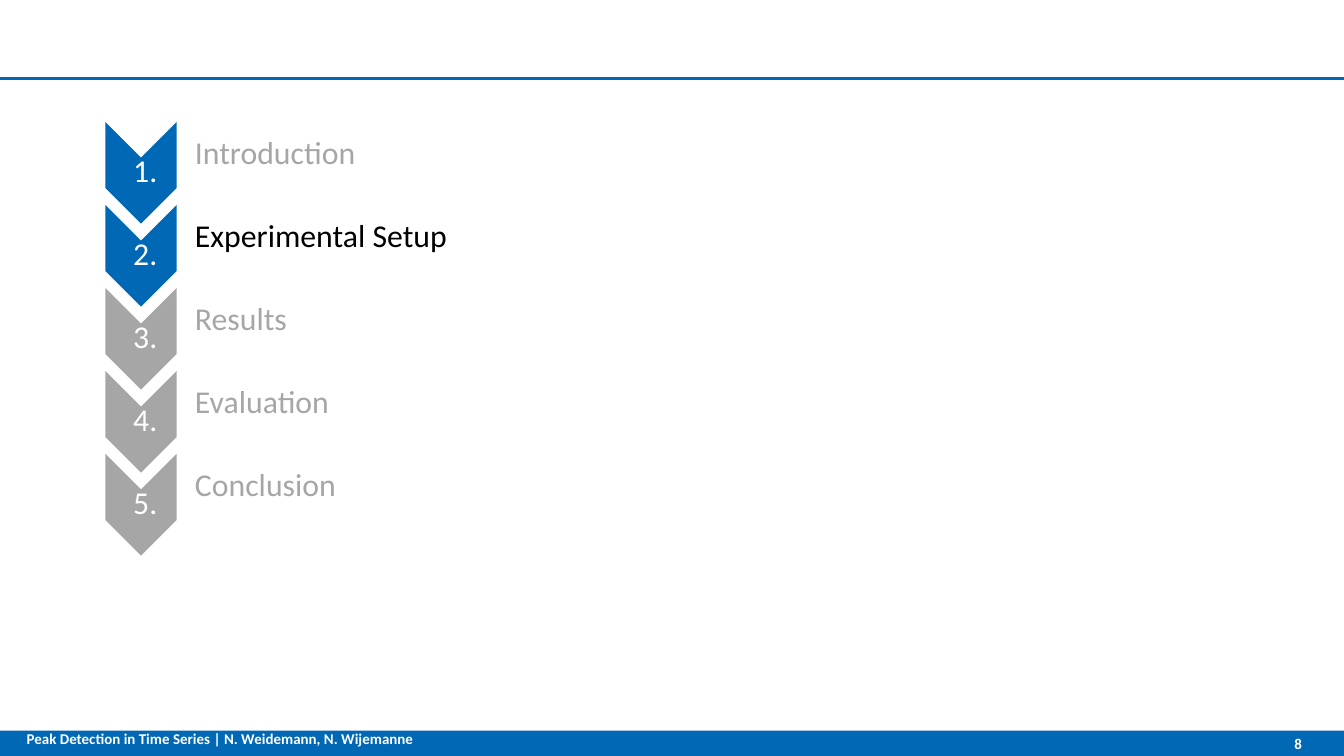
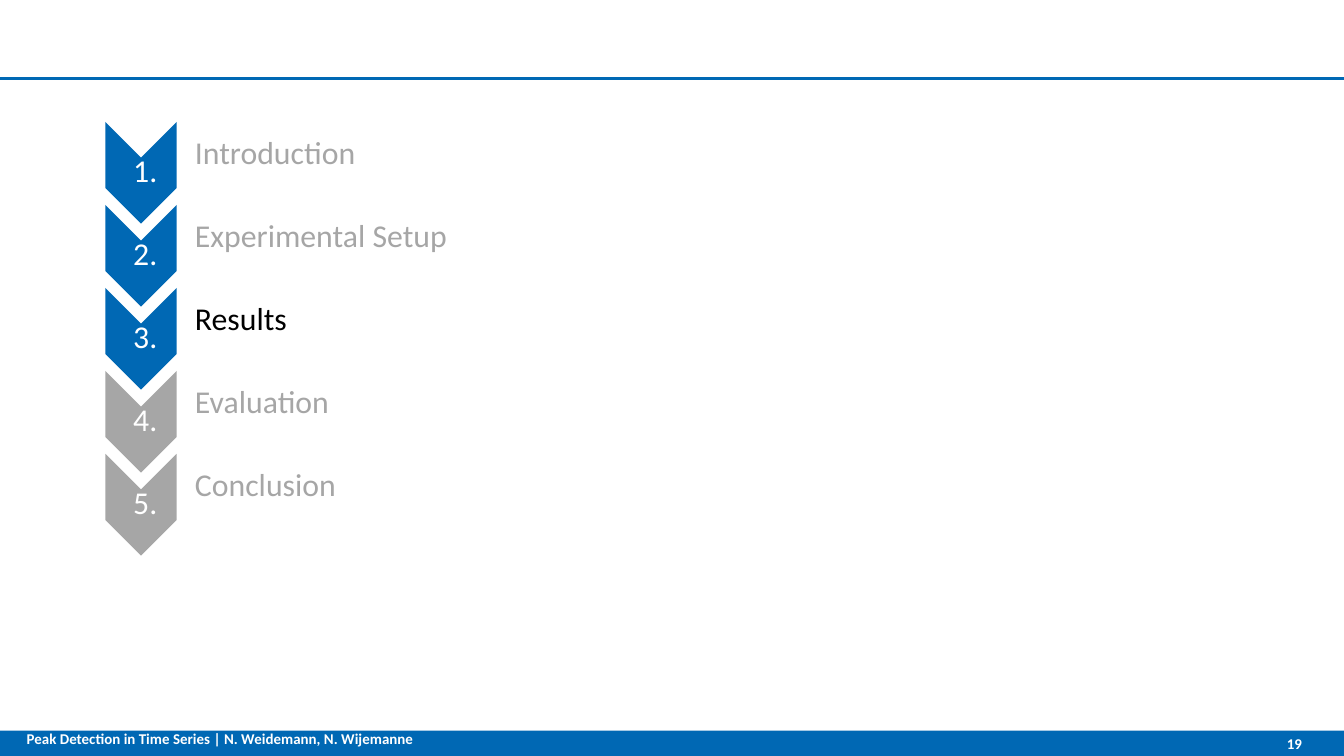
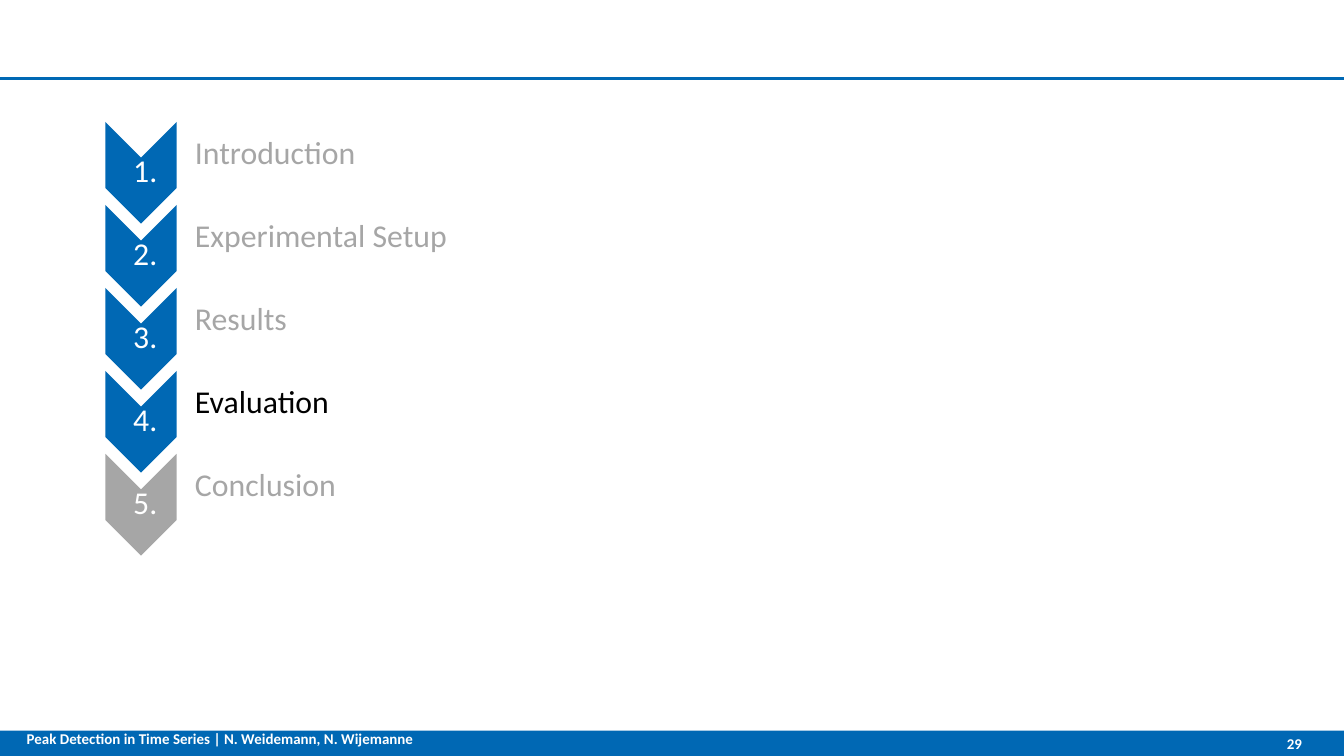
from lxml import etree
from pptx import Presentation
from pptx.dml.color import RGBColor
from pptx.enum import shapes, text
from pptx.oxml.ns import qn
from pptx.util import Pt

TOPICS = ["Introduction", "Experimental Setup", "Results", "Evaluation", "Conclusion"]
AGENDAS = [  # page number, current topic
    ("8", 2),
    ("19", 3),
    ("29", 4),
]
FOOTER = "Peak Detection in Time Series | N. Weidemann, N. Wijemanne"

BLUE, GRAY, BLACK, WHITE = "0068B4", "A6A6A6", "000000", "FFFFFF"
WIDE, HIGH = 720, 405
BAND = 13.5     # height of the footer band
RULE = 42.2     # height of the line under the title area
PITCH = 44.46   # distance between agenda rows

# Places of the first row: left, top, width, height
ARROW = (48.3, 73.5, 54.5, 38.16)
NUMBER = (56.9, 84.3, 38.16, 16.4)
LABEL = (95.05, 66.8, 566.6, 31.7)

STEP = dict(size=Pt(17), name="Calibri")
SMALL = dict(size=Pt(8), name="Calibri", bold=True)
MIDDLE = text.MSO_ANCHOR.MIDDLE


def color(code):
    return RGBColor.from_string(code)


def style(item, values):
    for key, value in values.items():
        setattr(item, key, value)


def place(box, row=0):
    left, top, width, height = box
    return Pt(left), Pt(top + row * PITCH), Pt(width), Pt(height)


def paint(shape, code):
    shape.shadow.inherit = False
    shape.fill.solid()
    shape.fill.fore_color.rgb = color(code)
    shape.line.fill.background()


def write(slide, words, spot, font, code, pads, para=None, **frame):
    """Add a text box; pads are the left, top, right and bottom insets."""
    box = slide.shapes.add_textbox(*spot).text_frame
    sides = ("margin_left", "margin_top", "margin_right", "margin_bottom")
    style(box, dict(zip(sides, map(Pt, pads)), word_wrap=True, **frame))
    line = box.paragraphs[0]
    style(line, para or {})
    run = line.add_run()
    run.text = words
    style(run.font, font)
    run.font.color.rgb = color(code)


def add_band(slide):
    """Draw the footer band and move it to the layout all slides share."""
    band = slide.shapes.add_shape(
        shapes.MSO_SHAPE.RECTANGLE, Pt(0), Pt(HIGH - BAND), Pt(WIDE), Pt(BAND))
    paint(band, BLUE)
    slide.slide_layout.element.cSld.spTree.append(band.element)


def add_frame(slide, page):
    rule = slide.shapes.add_connector(
        shapes.MSO_CONNECTOR.STRAIGHT, Pt(WIDE), Pt(RULE), Pt(0), Pt(RULE))
    rule.line.color.rgb = color(BLUE)
    rule.line.width = Pt(1.5)
    etree.SubElement(rule.element.spPr, qn("a:effectLst"))
    write(slide, FOOTER, place((7.2, 386, 312.5, 24.2)), SMALL, WHITE,
          (7.2, 7.2, 7.2, 7.2), auto_size=text.MSO_AUTO_SIZE.SHAPE_TO_FIT_TEXT)
    write(slide, page, place((630, HIGH - BAND, 67.5, BAND)), SMALL, WHITE,
          (7.2, 3.6, 0, 3.6), dict(alignment=text.PP_ALIGN.RIGHT),
          vertical_anchor=MIDDLE)


def add_row(slide, row, topic, now):
    arrow = slide.shapes.add_shape(shapes.MSO_SHAPE.CHEVRON, *place(ARROW, row))
    arrow.rotation = 90
    paint(arrow, BLUE if row < now else GRAY)
    write(slide, f" {row + 1}.", place(NUMBER, row), STEP, WHITE,
          (0.8, 0.8, 0.8, 0.8),
          dict(alignment=text.PP_ALIGN.CENTER, line_spacing=0.9),
          vertical_anchor=MIDDLE)
    write(slide, topic, place(LABEL, row), STEP,
          BLACK if row + 1 == now else GRAY, (9.4, 0.8, 0.8, 0.8),
          dict(line_spacing=0.9), vertical_anchor=MIDDLE)


def main():
    deck = Presentation()
    style(deck, dict(slide_width=Pt(WIDE), slide_height=Pt(HIGH)))
    blank = deck.slide_layouts[6]
    for page, now in AGENDAS:
        slide = deck.slides.add_slide(blank)
        if len(deck.slides) == 1:
            add_band(slide)
        for row, topic in enumerate(TOPICS):
            add_row(slide, row, topic, now)
        add_frame(slide, page)
    deck.save("out.pptx")


if __name__ == "__main__":
    main()
